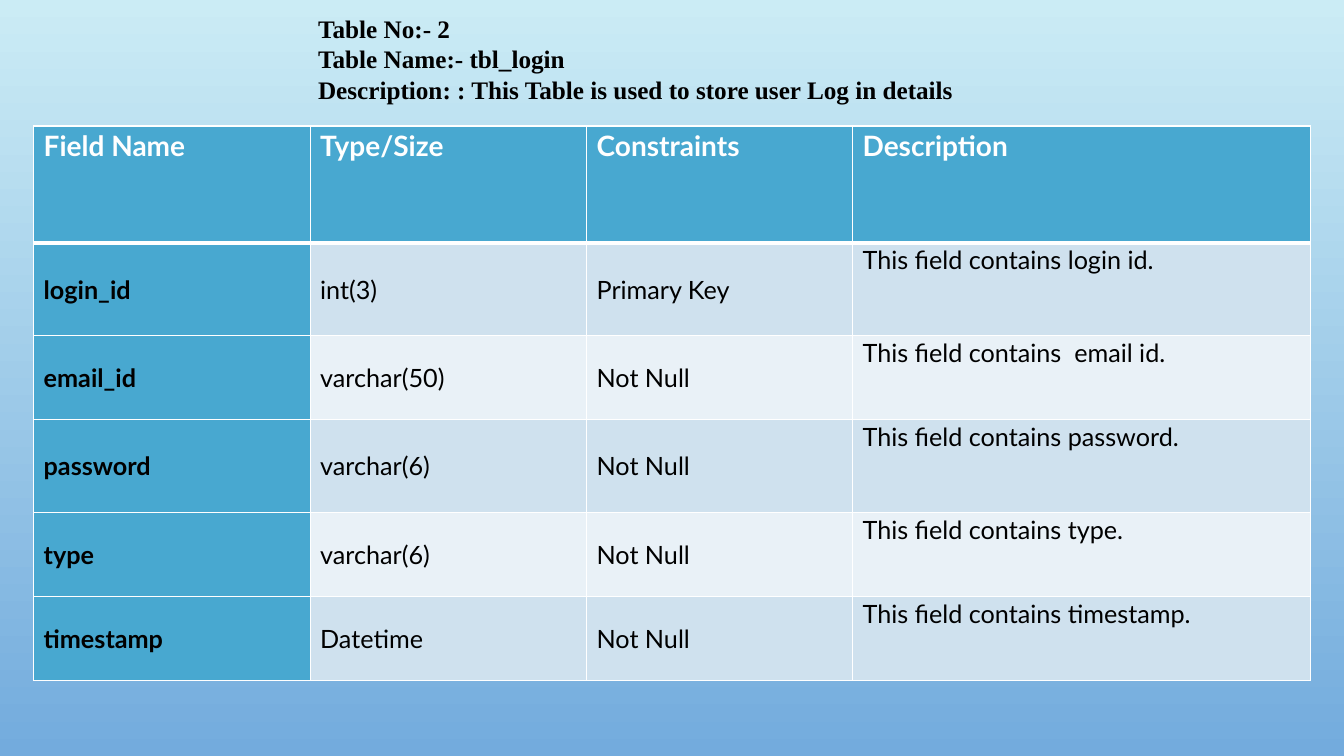
from lxml import etree
from pptx import Presentation
from pptx import util as u
from pptx.dml import color
from pptx.enum import text
from pptx.oxml import ns

COLORS = {
    "sky": "CBECF5", "dusk": "73ABDD", "accent": "48A8D0",
    "band_dark": "CFE1EE", "band_light": "E9F1F7",
    "white": "FFFFFF", "black": "000000",
}


def style_text(paragraph, font_name, size, color_name, bold):
    for run in paragraph.runs:
        run.font.name = font_name
        run.font.size = u.Pt(size)
        run.font.bold = bold
        run.font.color.rgb = color.RGBColor.from_string(COLORS[color_name])


def add_border(cell, side, width):
    properties = cell._tc.get_or_add_tcPr()
    line = etree.SubElement(properties, ns.qn("a:ln" + side), w=str(u.Pt(width)))
    fill = etree.SubElement(line, ns.qn("a:solidFill"))
    etree.SubElement(fill, ns.qn("a:srgbClr"), val=COLORS["white"])


presentation = Presentation()
presentation.slide_width, presentation.slide_height = u.Pt(960), u.Pt(540)
slide = presentation.slides.add_slide(presentation.slide_layouts[5])

# Background: light at the top, darker at the bottom
background = slide.background.fill
background.gradient()
background.gradient_angle = 270
for stop, position, name in zip(background.gradient_stops, (0, 1), ("sky", "dusk")):
    stop.position = position
    stop.color.rgb = color.RGBColor.from_string(COLORS[name])

# Heading
title = slide.shapes.title
title.left, title.top, title.width, title.height = u.Pt(220), u.Pt(6), u.Pt(560), u.Pt(72.7)
frame = title.text_frame
frame.text = ("Table No:- 2\nTable Name:- tbl_login\n"
              "Description: : This Table is used to store user Log in details")
frame.word_wrap = True
frame.auto_size = text.MSO_AUTO_SIZE.NONE
frame.vertical_anchor = text.MSO_ANCHOR.TOP
for paragraph in frame.paragraphs:
    paragraph.alignment = text.PP_ALIGN.LEFT
    style_text(paragraph, "Times New Roman", 18, "black", True)

# Field table
rows = [
    ("Field Name", "Type/Size", "Constraints", "Description"),
    ("login_id", "int(3)", "Primary Key", "This field contains login id."),
    ("email_id", "varchar(50)", "Not Null", "This field contains  email id."),
    ("password", "varchar(6)", "Not Null", "This field contains password."),
    ("type", "varchar(6)", "Not Null", "This field contains type."),
    ("timestamp", "Datetime", "Not Null", "This field contains timestamp."),
]
column_widths = [197.5, 197.5, 190, 327]
row_heights = [83.5, 66.4, 59.9, 66.4, 59.9, 59.9]
table = slide.shapes.add_table(
    len(rows), len(column_widths), u.Pt(24), u.Pt(90),
    u.Pt(sum(column_widths)), u.Pt(sum(row_heights))).table
table.first_col = True
for column, width in zip(table.columns, column_widths):
    column.width = u.Pt(width)

for row_index, values in enumerate(rows):
    table.rows[row_index].height = u.Pt(row_heights[row_index])
    is_header = row_index == 0
    for column_index, value in enumerate(values):
        cell = table.cell(row_index, column_index)
        cell.text = value
        paragraph = cell.text_frame.paragraphs[0]
        is_key = is_header or column_index == 0
        style_text(paragraph, "Lato", 20 if is_header else 18,
                   "white" if is_header else "black", is_key)

        # Header and description text sits at the top, the rest in the middle
        if is_header or column_index == 3:
            cell.margin_top = cell.margin_bottom = 0
            paragraph.line_spacing = 1.07
            paragraph.space_after = u.Pt(8)
        else:
            cell.vertical_anchor = text.MSO_ANCHOR.MIDDLE

        # Thick rule under the header, thin lines elsewhere
        for side in "LRTB":
            thick = (row_index, side) in ((0, "B"), (1, "T"))
            add_border(cell, side, 3 if thick else 1)
        band = "band_dark" if row_index % 2 else "band_light"
        cell.fill.solid()
        cell.fill.fore_color.rgb = color.RGBColor.from_string(
            COLORS["accent" if is_key else band])

presentation.save("out.pptx")
